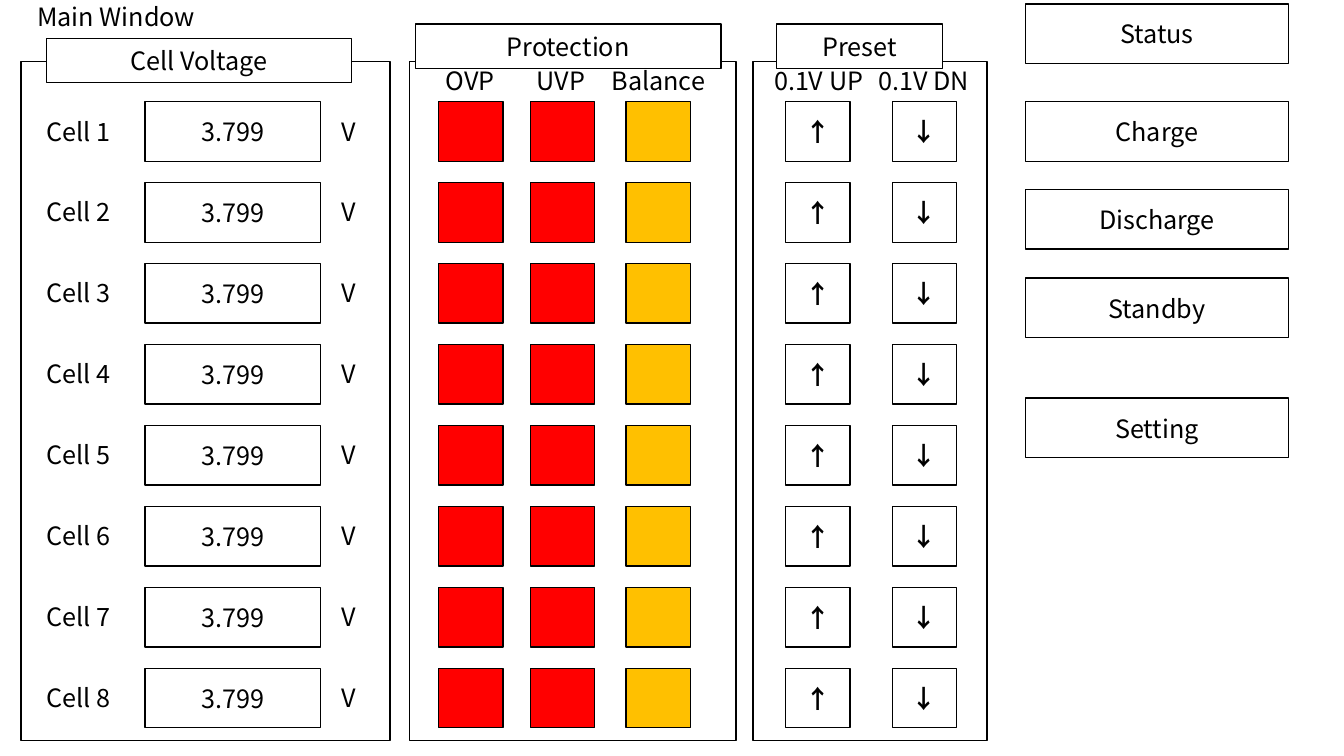
from pptx import Presentation
from pptx.dml.color import RGBColor
from pptx.enum.shapes import MSO_SHAPE
from pptx.enum.text import MSO_ANCHOR, MSO_AUTO_SIZE, PP_ALIGN
from pptx.util import Inches, Pt

BLACK = RGBColor(0x00, 0x00, 0x00)
WHITE = RGBColor(0xFF, 0xFF, 0xFF)
RED = RGBColor(0xFF, 0x00, 0x00)
AMBER = RGBColor(0xFF, 0xC0, 0x00)
RECTANGLE = MSO_SHAPE.RECTANGLE
MIDDLE = MSO_ANCHOR.MIDDLE
FIT_TEXT = MSO_AUTO_SIZE.SHAPE_TO_FIT_TEXT
LEFT, CENTER = PP_ALIGN.LEFT, PP_ALIGN.CENTER
FONT_FORMAT = {"name": "Noto Sans CJK KR", "size": Pt(18)}

CELL_COUNT = 8
FIRST_ROW, LAST_ROW = 1.01, 6.63
ROW_STEP = (LAST_ROW - FIRST_ROW) / (CELL_COUNT - 1)
BOX_HEIGHT = 0.59
LABEL_OFFSET = 0.09
LABEL_HEIGHT = 0.4

deck = Presentation()
deck.slide_width, deck.slide_height = Inches(13.33), Inches(7.5)
page = deck.slides.add_slide(deck.slide_layouts[6])


def write(shape, text, align, bold=None):
    para = shape.text_frame.paragraphs[0]
    para.alignment = align
    span = para.add_run()
    span.text = text
    for name, value in {**FONT_FORMAT, "bold": bold}.items():
        setattr(span.font, name, value)
    span.font.color.rgb = BLACK


def add_part(left, top, width, height, text="", fill=None, label=False,
             align=CENTER, wrap=True, bold=None):
    """Add a borderless label, or an outlined box that is hollow without a fill."""
    place = [Inches(value) for value in (left, top, width, height)]
    if label:
        part = page.shapes.add_textbox(*place)
        part.text_frame.auto_size = FIT_TEXT
    else:
        part = page.shapes.add_shape(RECTANGLE, *place)
        part.shadow.inherit = False
        part.line.color.rgb = BLACK
        part.line.width = Pt(1)
        if fill is None:
            part.fill.background()
        else:
            part.fill.solid()
            part.fill.fore_color.rgb = fill
        part.text_frame.vertical_anchor = MIDDLE
    part.text_frame.word_wrap = wrap
    if text:
        write(part, text, align, bold)


add_part(0.27, -0.04, 1.8, LABEL_HEIGHT, "Main Window", label=True,
         align=LEFT, wrap=False)

# Group frames with their titles: frame left and width, title place, text
groups = [
    (0.21, 3.66, 0.46, 0.38, 3.03, "Cell Voltage"),
    (4.06, 3.24, 4.12, 0.24, 3.03, "Protection"),
    (7.47, 2.32, 7.7, 0.24, 1.65, "Preset"),
]
for frame_left, frame_width, left, top, width, title in groups:
    add_part(frame_left, 0.61, frame_width, 6.74)
    add_part(left, top, width, 0.44, title, WHITE)

# Column headings, each wide enough for one line
headings = [
    (4.13, 1.07, "OVP"),
    (5.03, 1.07, "UVP"),
    (5.93, 1.2, "Balance"),
    (7.46, 1.32, "0.1V UP"),
    (8.5, 1.32, "0.1V DN"),
]
for left, width, heading in headings:
    add_part(left, 0.6, width, LABEL_HEIGHT, heading, label=True)

# One row for each cell
row_boxes = [
    (1.44, 1.74, "3.799", WHITE, None),
    (4.35, 0.64, "", RED, None),
    (5.26, 0.64, "", RED, None),
    (6.21, 0.64, "", AMBER, None),
    (7.79, 0.64, "↑", WHITE, True),
    (8.85, 0.64, "↓", WHITE, True),
]
for row in range(CELL_COUNT):
    top = FIRST_ROW + row * ROW_STEP
    label_top = top + LABEL_OFFSET
    add_part(0.36, label_top, 1.07, LABEL_HEIGHT, f"Cell {row + 1}",
             label=True, align=LEFT)
    add_part(3.29, label_top, 0.36, LABEL_HEIGHT, "V", label=True,
             align=LEFT, wrap=False)
    for left, width, text, fill, bold in row_boxes:
        add_part(left, top, width, BOX_HEIGHT, text, fill, bold=bold)

# Mode buttons
buttons = [(0.04, "Status"), (1.01, "Charge"), (1.88, "Discharge"),
           (2.76, "Standby"), (3.95, "Setting")]
for top, text in buttons:
    add_part(10.17, top, 2.61, BOX_HEIGHT, text, WHITE)

deck.save("out.pptx")
